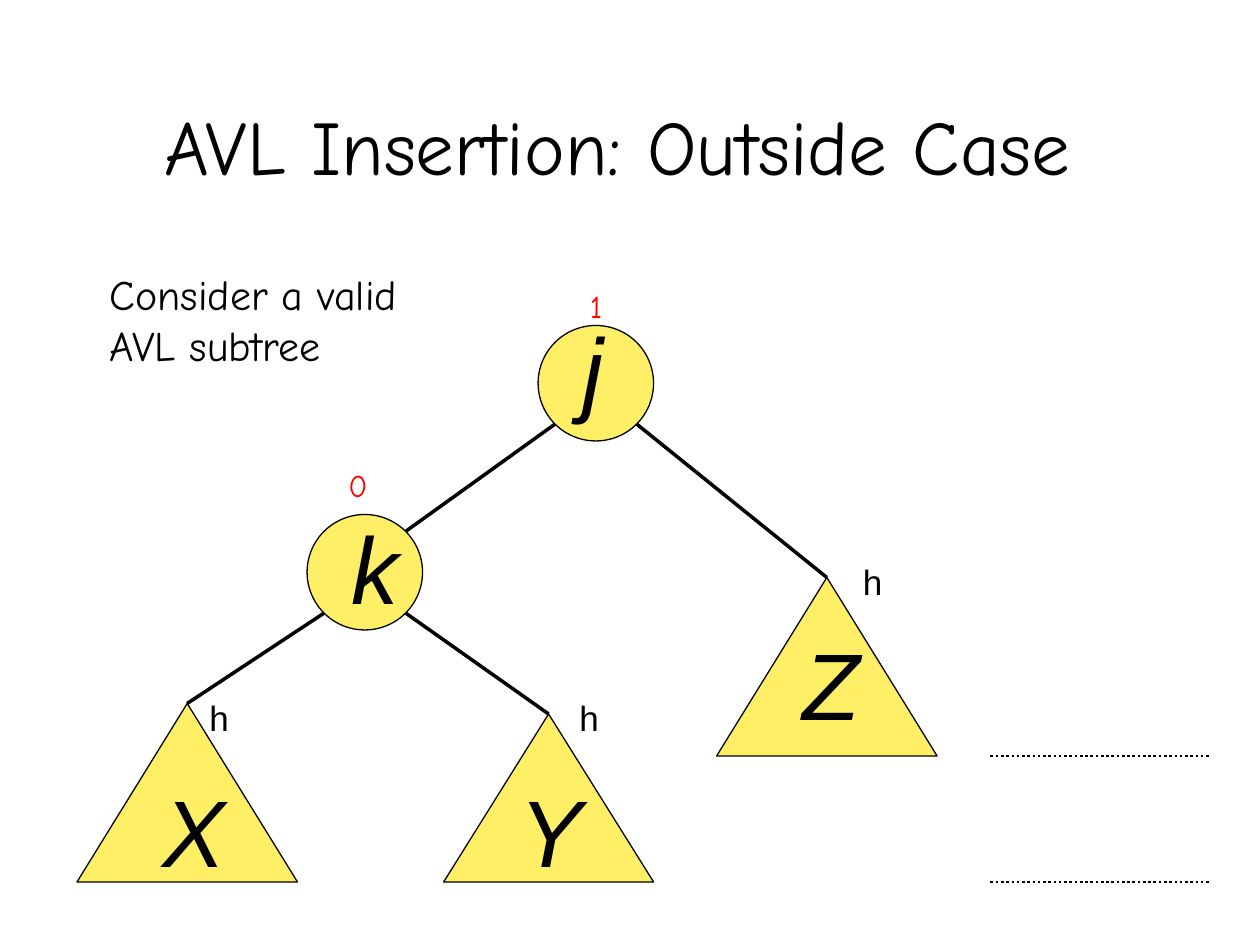
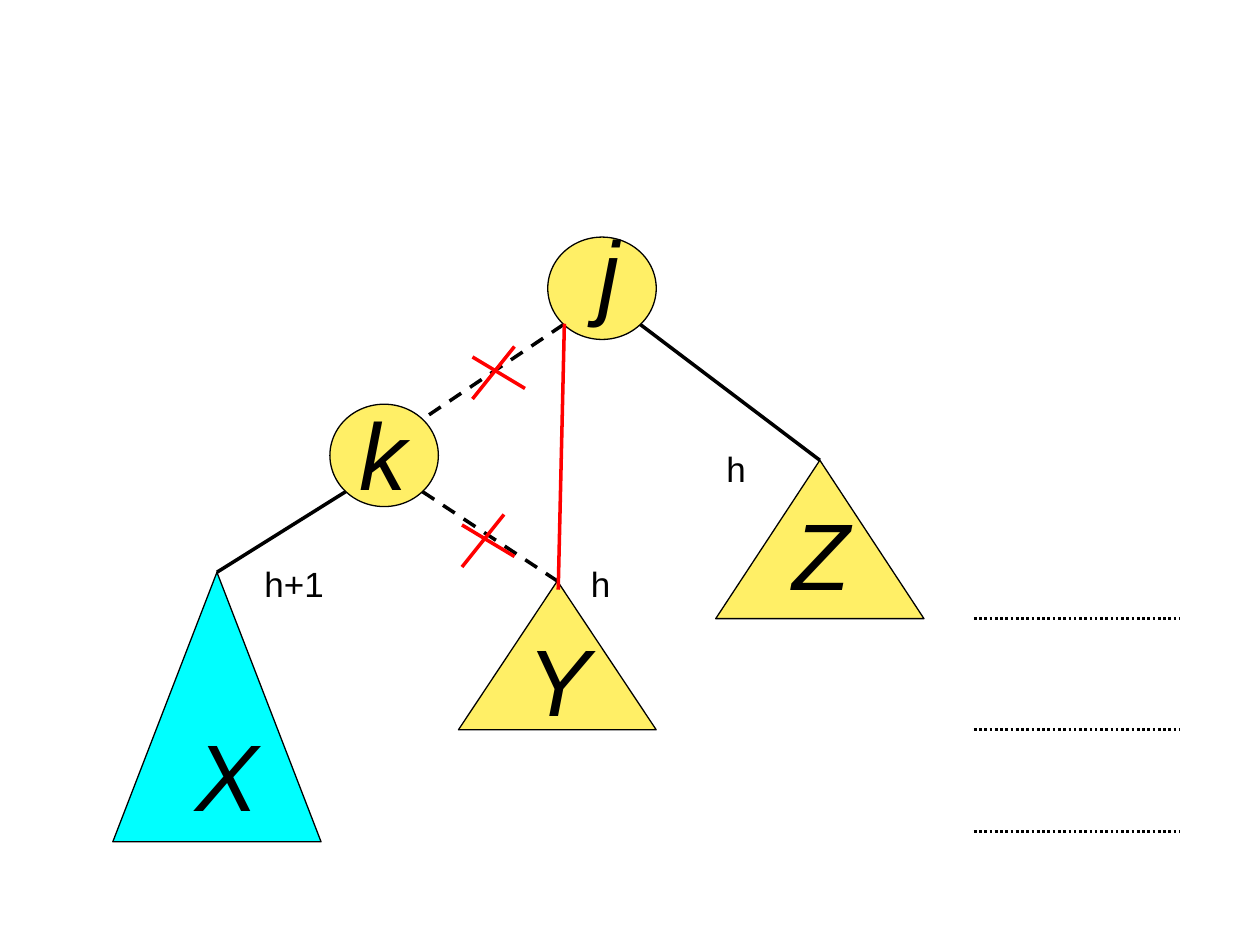
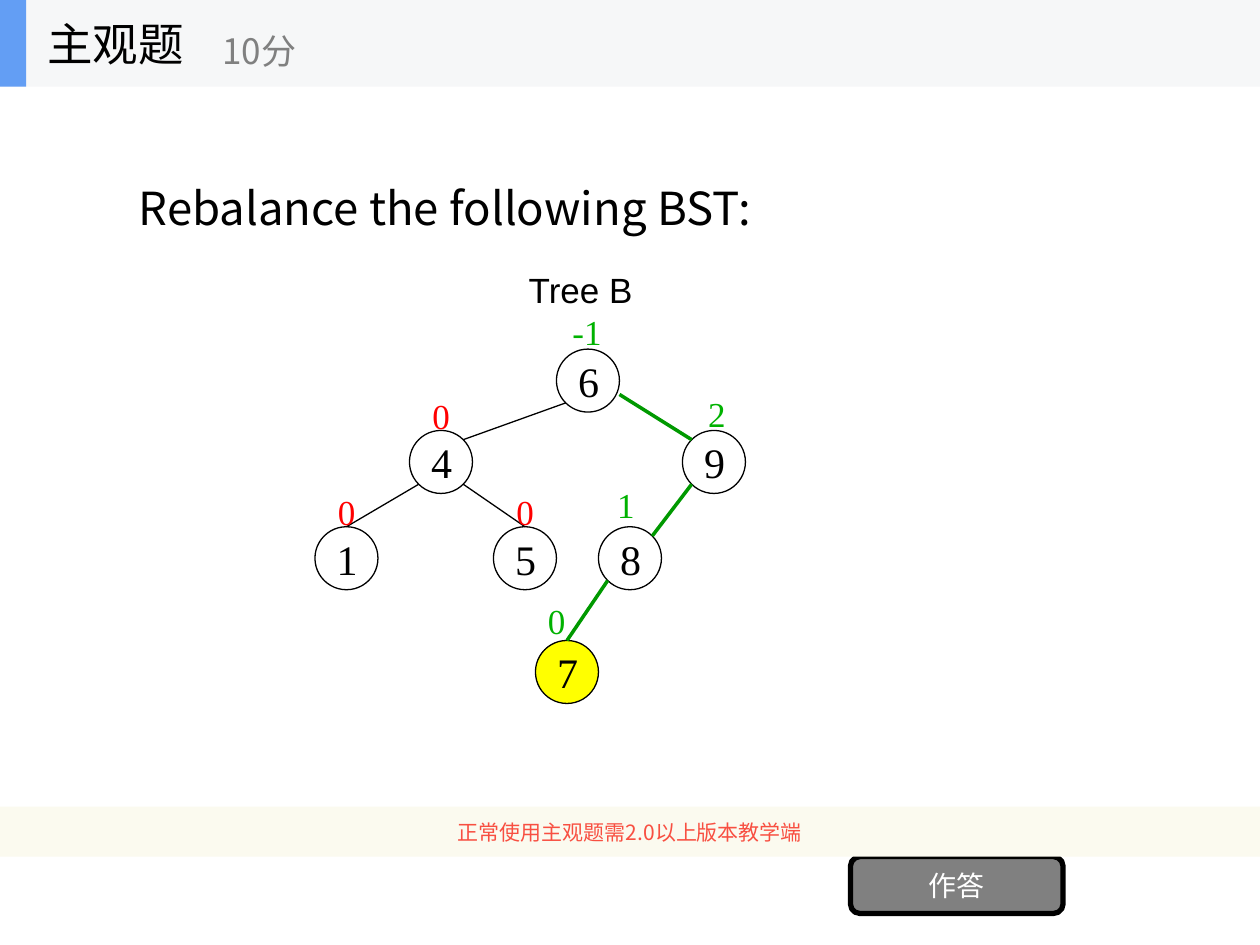
from lxml import etree
from pptx import Presentation
from pptx.dml.color import RGBColor
from pptx.enum import dml, shapes, text
from pptx.oxml.ns import qn
from pptx.util import Pt

BLACK, WHITE, RED, GREY = "000000", "FFFFFF", "FF0000", "808080"
GOLD, CYAN, YELLOW = "FFEF66", "00FFFF", "FFFF00"
GREEN, LIME = "009900", "00B200"
BAND, ACCENT, CREAM, CORAL = "F6F7F8", "639EF4", "FBFAEF", "F84F41"
HAN, COMIC, SERIF = "Noto Sans CJK SC", "Comic Neue", "Times New Roman"

# style: font, size, colour, italic
STYLES = {
    "head": (COMIC, 44, BLACK, False),
    "note": (COMIC, 24, BLACK, False),
    "factor": (COMIC, 18, RED, False),
    "letter": ("Arial", 54, BLACK, True),
    "height": ("Arial", 20, BLACK, False),
    "key": (SERIF, 24, BLACK, False),
    "even": (SERIF, 20, RED, False),
    "path": (SERIF, 20, LIME, False),
    "task": (HAN, 26, BLACK, False),
    "points": (HAN, 20, GREY, False),
    "button": (HAN, 16, WHITE, False),
    "hint": (HAN, 12, CORAL, False),
}

KINDS = {
    "circle": shapes.MSO_SHAPE.OVAL,
    "tri": shapes.MSO_SHAPE.ISOSCELES_TRIANGLE,
    "rect": shapes.MSO_SHAPE.RECTANGLE,
    "round": shapes.MSO_SHAPE.ROUNDED_RECTANGLE,
}

# where an edge meets a node, as shares of its width and height
NEAR, FAR = 0.146, 0.854
SPOTS = {"n": (0.5, 0), "nw": (NEAR, NEAR), "ne": (FAR, NEAR),
         "sw": (NEAR, FAR), "se": (FAR, FAR), "side": (1, 0.72)}

DASH = dml.MSO_LINE.DASH
DOT = dml.MSO_LINE.ROUND_DOT

# node: name, kind, box, fill, place of the letter
# edge: node, spot, node, spot, colour, width, dash
# text: left, top, width, height, words, style
OUTSIDE = {
    "nodes": [
        ("j", "circle", (307.5, 186, 66, 66), GOLD, (325.5, 174)),
        ("k", "circle", (175.5, 294, 66, 66), GOLD, (193.5, 288)),
        ("X", "tri", (44, 402, 126, 102), GOLD, (85.5, 438)),
        ("Y", "tri", (253.5, 408, 120, 96), GOLD, (289.5, 438)),
        ("Z", "tri", (409.5, 330, 126, 102), GOLD, (451.5, 354)),
    ],
    "edges": [
        ("j", "sw", "k", "ne", BLACK, 2, None),
        ("k", "sw", "X", "n", BLACK, 2, None),
        ("k", "se", "Y", "n", BLACK, 2, None),
        ("j", "se", "Z", "n", BLACK, 2, None),
    ],
    "texts": [
        (55.5, 150, 190, 65, "Consider a valid\nAVL subtree", "note"),
        (486, 317, 26, 32, "h", "height"),
        (112.5, 394.5, 26, 32, "h", "height"),
        (324, 394.5, 26, 32, "h", "height"),
        (192, 263, 42, 29, "0", "factor"),
        (330, 160.5, 42, 29, "1", "factor"),
    ],
    "levels": (566, 692, (432, 504)),
}

ROTATE = {
    "nodes": [
        ("j", "circle", (313, 135.5, 62, 58.5), GOLD, (335, 119)),
        ("k", "circle", (188.5, 231, 62, 58.5), GOLD, (198.5, 223)),
        ("X", "tri", (64.5, 327, 119, 154), CYAN, (104.5, 406)),
        ("Y", "tri", (262, 332, 113, 85), GOLD, (294.5, 352)),
        ("Z", "tri", (409, 263, 119, 90.5), GOLD, (445.5, 280)),
    ],
    "edges": [
        ("k", "sw", "X", "n", BLACK, 2, None),
        ("j", "se", "Z", "n", BLACK, 2, None),
        ("j", "sw", "k", "ne", BLACK, 2, DASH),
        ("k", "se", "Y", "n", BLACK, 2, DASH),
    ],
    "texts": [
        (408, 252, 26, 32, "h", "height"),
        (144, 318, 52, 32, "h+1", "height"),
        (330.5, 318, 26, 32, "h", "height"),
    ],
    "levels": (556.5, 674.5, (353.5, 417, 475)),
}
CROSSES = [(270, 198), (264, 294)]
STROKES = [(0, 6, 30, 24), (24, 0, 0, 30)]
RELINK = (322.5, 185, 319, 337)

KEYS = [("6", 318, 199.5), ("4", 234, 246), ("9", 390, 246),
        ("8", 342, 301), ("1", 180, 301), ("5", 282, 301), ("7", 306, 366)]
REBALANCE = {
    "nodes": [(key, "circle", (x, y, 36, 36), YELLOW if key == "7" else None, None)
              for key, x, y in KEYS],
    "edges": [
        ("6", "sw", "4", "ne", BLACK, 0.75, None),
        ("4", "sw", "1", "n", BLACK, 0.75, None),
        ("4", "se", "5", "n", BLACK, 0.75, None),
        ("6", "side", "9", "nw", GREEN, 2, None),
        ("9", "sw", "8", "ne", GREEN, 2, None),
        ("8", "sw", "7", "n", GREEN, 2, None),
    ],
    "texts": [
        (295, 150, 132, 32, "Tree B", "height"),
        (240, 222, 26, 32, "0", "even"),
        (186, 277, 26, 32, "0", "even"),
        (288, 277, 26, 32, "0", "even"),
        (397.5, 221, 26, 32, "2", "path"),
        (345.5, 273, 26, 32, "1", "path"),
        (320, 174, 36, 32, "-1", "path"),
        (306, 339, 26, 32, "0", "path"),
    ],
}
# panel: kind, box, fill, line width, words, style
PANELS = [
    ("round", (486, 489.5, 121.5, 32.5), GREY, 3, "作答", "button"),
    ("rect", (0, 461, 720, 28.5), CREAM, 0, "正常使用主观题需2.0以上版本教学端", "hint"),
    ("rect", (0, 0, 720, 49.5), BAND, 0, "", None),
    ("rect", (0, 0, 15, 49.5), ACCENT, 0, "", None),
]
HEADERS = [
    (20, 0, 150, 49.5, "主观题", "task"),
    (120, 8.5, 180, 40.5, "10分", "points"),
]


def rgb(code):
    return RGBColor.from_string(code)


def write(shape, words, style, align=text.PP_ALIGN.LEFT, anchor=text.MSO_ANCHOR.TOP):
    font, size, colour, slant = STYLES[style]
    frame = shape.text_frame
    frame.text = words
    frame.word_wrap = True
    frame.auto_size = text.MSO_AUTO_SIZE.NONE
    frame.vertical_anchor = anchor
    for para in frame.paragraphs:
        para.alignment = align
        for run in para.runs:
            run.font.name, run.font.size = font, Pt(size)
            run.font.italic = slant
            run.font.color.rgb = rgb(colour)
            if font == HAN:
                etree.SubElement(run.font._element, qn("a:ea")).set("typeface", font)


def label(slide, x, y, w, h, words, style, anchor=text.MSO_ANCHOR.TOP):
    box = slide.shapes.add_textbox(Pt(x), Pt(y), Pt(w), Pt(h))
    write(box, words, style, anchor=anchor)


def title(slide, box, words, style, align):
    head = slide.shapes.title
    head.left, head.top, head.width, head.height = map(Pt, box)
    write(head, words, style, align, text.MSO_ANCHOR.MIDDLE)


def block(slide, kind, box, fill, width, words="", style=None):
    shape = slide.shapes.add_shape(KINDS[kind], *map(Pt, box))
    shape.shadow.inherit = False
    if fill:
        shape.fill.solid()
        shape.fill.fore_color.rgb = rgb(fill)
    else:
        shape.fill.background()
    if width:
        shape.line.color.rgb = rgb(BLACK)
        shape.line.width = Pt(width)
    else:
        shape.line.fill.background()
    if words:
        write(shape, words, style, text.PP_ALIGN.CENTER, text.MSO_ANCHOR.MIDDLE)
    return shape


def link(slide, ends, colour, width, dash=None):
    line = slide.shapes.add_connector(shapes.MSO_CONNECTOR.STRAIGHT, *map(Pt, ends))
    line.line.color.rgb = rgb(colour)
    line.line.width = Pt(width)
    if dash:
        line.line.dash_style = dash
    etree.SubElement(line._element.spPr, qn("a:effectLst"))
    return line


def spot(box, name):
    x, y, w, h = box
    across, down = SPOTS[name]
    return x + across * w, y + down * h


def tree(slide, plan):
    """Draw nodes, edges, labels and dotted level marks of one tree."""
    boxes, drawn = {}, {}
    for name, kind, box, fill, place in plan["nodes"]:
        boxes[name] = box
        inner = () if place else (name, "key")
        drawn[name] = block(slide, kind, box, fill, 0.75, *inner)
        if place:
            label(slide, *place, 40, 72, name, "letter")
    for start, leave, end, enter, *look in plan["edges"]:
        ends = spot(boxes[start], leave) + spot(boxes[end], enter)
        line = link(slide, ends, *look)
        if enter == "n":
            line.end_connect(drawn[end], 0)
    for row in plan["texts"]:
        label(slide, *row)
    left, right, rows = plan.get("levels", (0, 0, ()))
    for y in rows:
        link(slide, (left, y, right, y), BLACK, 1.5, DOT)


def main():
    deck = Presentation()
    deck.slide_width, deck.slide_height = Pt(720), Pt(540)
    titled, blank = deck.slide_layouts[5], deck.slide_layouts[6]

    slide = deck.slides.add_slide(titled)
    title(slide, (45.5, 51, 615, 63.5), "AVL Insertion: Outside Case", "head",
          text.PP_ALIGN.CENTER)
    tree(slide, OUTSIDE)

    slide = deck.slides.add_slide(blank)
    tree(slide, ROTATE)
    link(slide, RELINK, RED, 2)
    for x, y in CROSSES:
        for x1, y1, x2, y2 in STROKES:
            link(slide, (x + x1, y + y1, x + x2, y + y2), RED, 2)

    slide = deck.slides.add_slide(titled)
    title(slide, (72, 34, 576, 168.5), "Rebalance the following BST:", "task",
          text.PP_ALIGN.LEFT)
    for row in PANELS:
        block(slide, *row)
    for row in HEADERS:
        label(slide, *row, text.MSO_ANCHOR.MIDDLE)
    tree(slide, REBALANCE)
    deck.save("out.pptx")


if __name__ == "__main__":
    main()
